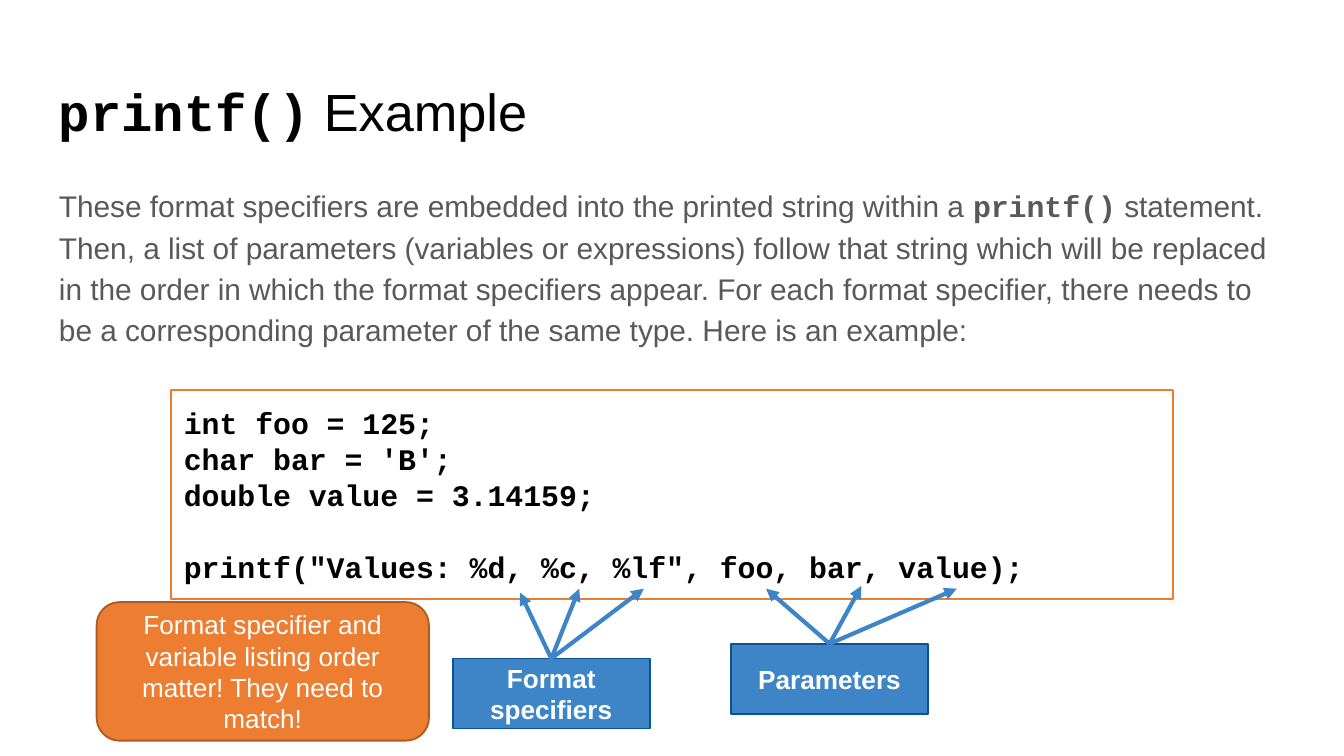
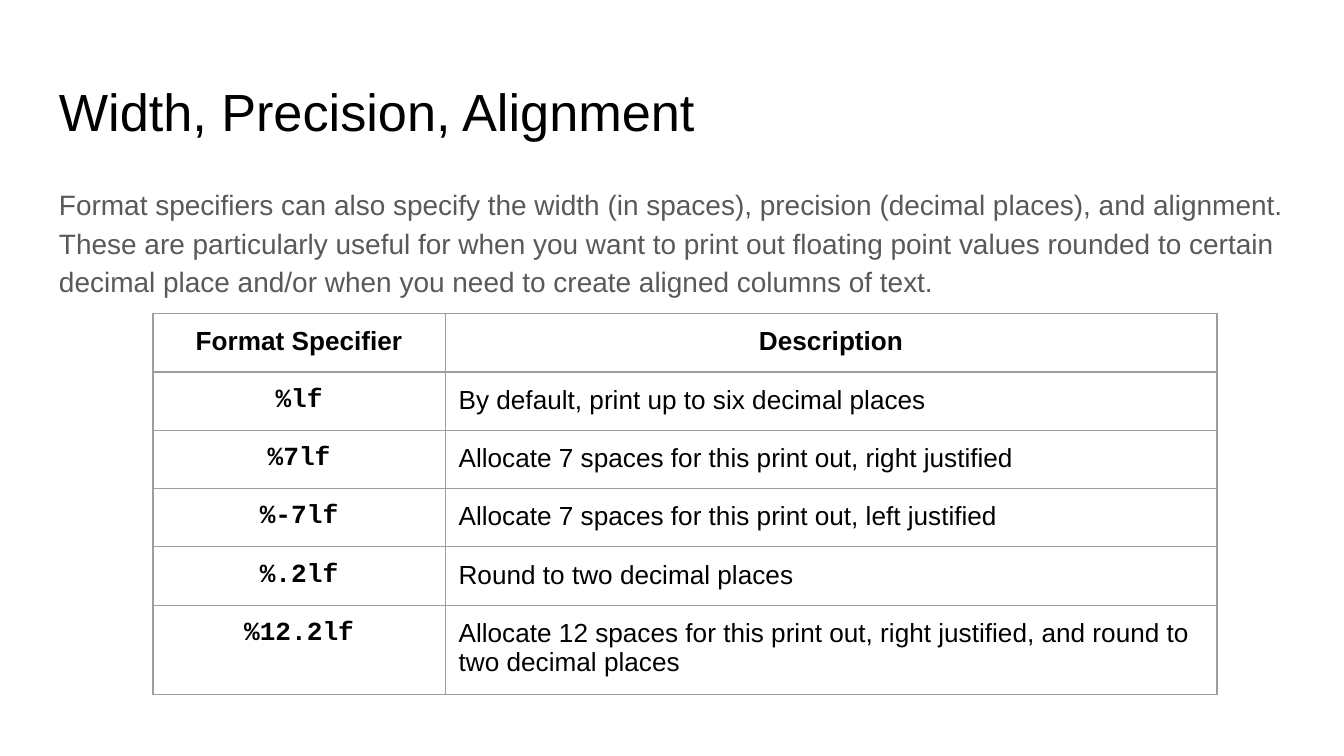
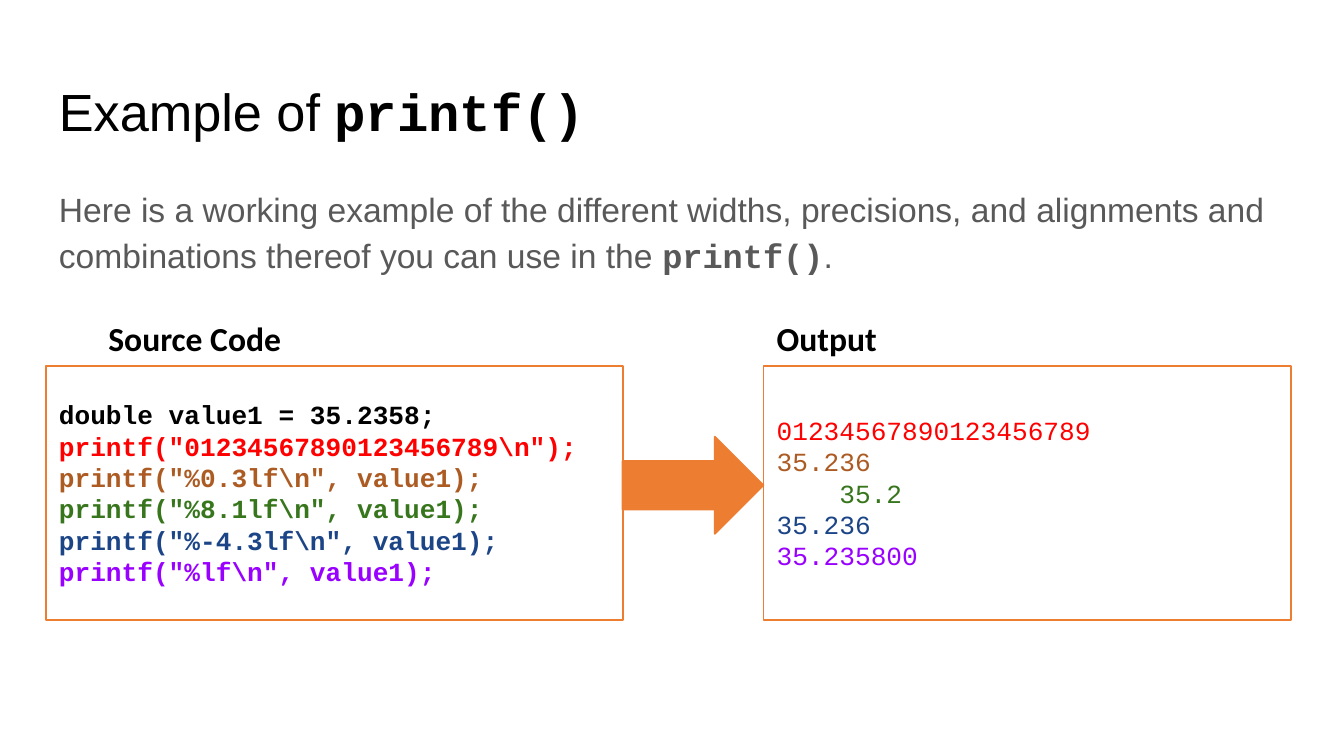
from dataclasses import dataclass
from typing import Any

from lxml.etree import SubElement
from pptx import Presentation
from pptx.dml.color import RGBColor
from pptx.enum.shapes import MSO_CONNECTOR as Link, MSO_SHAPE as Shape
from pptx.enum.text import MSO_ANCHOR as Anchor, PP_ALIGN as Align
from pptx.oxml.ns import qn
from pptx.util import Pt


@dataclass(frozen=True)
class Theme:
    # Fonts
    sans: str = "Arial"
    mono: str = "Courier New"
    label: str = "Calibri"
    # Colours
    ink: str = "000000"
    body: str = "595959"
    white: str = "FFFFFF"
    orange: str = "ED7D31"
    brown: str = "AC5B23"
    blue: str = "3D85C6"
    dark_blue: str = "0B5394"
    grid: str = "9E9E9E"
    red: str = "FF0000"
    green: str = "38761D"
    navy: str = "1C4587"
    violet: str = "9900FF"
    # Type sizes
    title_size: float = 28
    heading_size: float = 18
    code_size: float = 16
    small_size: float = 14
    # Text insets
    wide: float = 7.2
    narrow: float = 3.6


THEME = Theme()
LEFT, WIDTH = 24.5, 671


def rgb(value):
    return RGBColor.from_string(value)


def write(para, text, size=THEME.small_size, font=THEME.sans, color=THEME.ink,
          bold=False, align=Align.LEFT, spacing=None, before=0, after=0, indent=0):
    """Fill a paragraph; text between backticks is set as bold code."""
    para.alignment = align
    para.space_before, para.space_after = Pt(before), Pt(after)
    if spacing:
        para.line_spacing = spacing
    if indent:
        para._p.get_or_add_pPr().set("marL", str(Pt(indent)))
    for index, part in enumerate(text.split("`")):
        if not part:
            continue
        code = index % 2 == 1
        span = para.add_run()
        span.text = part
        span.font.size = Pt(size)
        span.font.name = THEME.mono if code else font
        span.font.bold = bold or code
        span.font.color.rgb = rgb(color)


@dataclass
class Slides:
    deck: Any
    page: Any = None

    def start(self, title, body, body_size, body_height):
        """Open a page with its title and introduction."""
        self.page = self.deck.slides.add_slide(self.deck.slide_layouts[6])
        self.text((LEFT, 35.3, WIDTH, 45.4), [(title, {})], size=THEME.title_size)
        self.text((LEFT, 90.7, WIDTH, body_height), [(body, {})], size=body_size,
                  color=THEME.body, spacing=1.15, after=16)

    def fill_frame(self, frame, lines, anchor, inset, **style):
        frame.word_wrap = True
        frame.vertical_anchor = anchor
        frame.margin_left = frame.margin_right = Pt(THEME.wide)
        frame.margin_top = frame.margin_bottom = Pt(inset)
        for index, (text, extra) in enumerate(lines):
            para = frame.add_paragraph() if index else frame.paragraphs[0]
            write(para, text, **{**style, **extra})

    def text(self, area, lines, inset=THEME.wide, **style):
        box = self.page.shapes.add_textbox(*map(Pt, area))
        self.fill_frame(box.text_frame, lines, Anchor.TOP, inset, **style)

    def shape(self, kind, area, lines=(), fill=None, line=THEME.orange,
              inset=THEME.narrow, **style):
        box = self.page.shapes.add_shape(kind, *map(Pt, area))
        box.shadow.inherit = False
        if fill:
            box.fill.solid()
            box.fill.fore_color.rgb = rgb(fill)
        else:
            box.fill.background()
        box.line.color.rgb = rgb(line)
        box.line.width = Pt(1)
        self.fill_frame(box.text_frame, lines, Anchor.MIDDLE, inset, **style)

    def code(self, area, lines, **style):
        self.shape(Shape.RECTANGLE, area, lines, font=THEME.mono, **style)

    def pointer(self, label, left, top, targets):
        """A blue label with arrows fanning out from its top centre."""
        width, height = 105.5, 37.5
        self.shape(Shape.RECTANGLE, (left, top, width, height), [(label, {})],
                   fill=THEME.blue, line=THEME.dark_blue, inset=THEME.wide,
                   color=THEME.white, bold=True, align=Align.CENTER)
        for target in targets:
            self.arrow((left + width / 2, top), target)

    def arrow(self, start, end):
        link = self.page.shapes.add_connector(Link.STRAIGHT, *map(Pt, (*start, *end)))
        link.line.color.rgb = rgb(THEME.blue)
        link.line.width = Pt(2.25)
        props = link._element.spPr
        SubElement(props.find(qn("a:ln")), qn("a:tailEnd"), type="triangle")
        SubElement(props, qn("a:effectLst"))

    def table(self, left, top, widths, row_height, rows):
        table = self.page.shapes.add_table(
            len(rows), len(widths), Pt(left), Pt(top),
            Pt(sum(widths)), Pt(row_height * len(rows))).table
        table.first_row = table.horz_banding = False
        for column, width in zip(table.columns, widths):
            column.width = Pt(width)
        for r, row in enumerate(rows):
            table.rows[r].height = Pt(row_height)
            for c, text in enumerate(row):
                cell = table.cell(r, c)
                cell.margin_left = cell.margin_right = Pt(THEME.wide)
                cell.margin_top = cell.margin_bottom = Pt(THEME.wide)
                centred = r == 0 or c == 0
                write(cell.text_frame.paragraphs[0], text, bold=r == 0,
                      align=Align.CENTER if centred else Align.LEFT)
                self.border(cell)
                cell.fill.background()

    def border(self, cell):
        props = cell._tc.get_or_add_tcPr()
        for side in ("a:lnL", "a:lnR", "a:lnT", "a:lnB"):
            edge = SubElement(props, qn(side), w=str(Pt(0.75)))
            paint = SubElement(edge, qn("a:solidFill"))
            SubElement(paint, qn("a:srgbClr"), val=THEME.grid)


deck = Presentation()
deck.slide_width, deck.slide_height = Pt(720), Pt(405)
slides = Slides(deck)

# Slide 1: specifiers and parameters
slides.start(
    "`printf()` Example",
    "These format specifiers are embedded into the printed string within a "
    "`printf()` statement. Then, a list of parameters (variables or expressions) "
    "follow that string which will be replaced in the order in which the format "
    "specifiers appear. For each format specifier, there needs to be a "
    "corresponding parameter of the same type. Here is an example:", 16, 269)
slides.code((91.4, 208.8, 537.2, 112.3), [
    ("int foo = 125;", {}),
    ("char bar = 'B';", {}),
    ("double value = 3.14159;", {}),
    ('printf("Values: %d, %c, %lf", foo, bar, value);', {"before": 19.2}),
], fill=THEME.white, size=THEME.code_size, bold=True)
slides.shape(
    Shape.ROUNDED_RECTANGLE, (51.8, 322.6, 178, 74.2),
    [("Format specifier and variable listing order matter! "
      "They need to match!", {})],
    fill=THEME.orange, line=THEME.brown, color=THEME.white, align=Align.CENTER)
slides.pointer("Format specifiers", 242.6, 352.8,
               [(278.6, 317.5), (310.3, 315.4), (344.9, 315.4)])
slides.pointer("Parameters", 391.7, 344.9,
               [(410.4, 315.4), (461.5, 313.9), (512.6, 315.4)])

# Slide 2: table of specifiers
slides.start(
    "Width, Precision, Alignment",
    "Format specifiers can also specify the width (in spaces), precision (decimal "
    "places), and alignment. These are particularly useful for when you want to "
    "print out floating point values rounded to certain decimal place and/or when "
    "you need to create aligned columns of text.", 15, 269)
slides.table(82, 168, (156.5, 413.5), 30.2, [
    ("Format Specifier", "Description"),
    ("`%lf`", "By default, print up to six decimal places"),
    ("`%7lf`", "Allocate 7 spaces for this print out, right justified"),
    ("`%-7lf`", "Allocate 7 spaces for this print out, left justified"),
    ("`%.2lf`", "Round to two decimal places"),
    ("`%12.2lf`", "Allocate 12 spaces for this print out, right justified, "
                  "and round to two decimal places"),
])

# Slide 3: source code and its output, matched by colour
slides.start(
    "Example of `printf()`",
    "Here is a working example of the different widths, precisions, and alignments "
    "and combinations thereof you can use in the `printf()`.", 18, 64)
results = [
    (r'printf("01234567890123456789\n");', "01234567890123456789", THEME.red, 0),
    (r'printf("%0.3lf\n", value1);', "35.236", THEME.brown, 0),
    (r'printf("%8.1lf\n", value1);', "35.2", THEME.green, 33.6),
    (r'printf("%-4.3lf\n", value1);', "35.236", THEME.navy, 0),
    (r'printf("%lf\n", value1);', "35.235800", THEME.violet, 0),
]
top, height = 196, 136
slides.code((LEFT, top, 309.2, height),
            [("double value1 = 35.2358;", {})]
            + [(source, {"color": color}) for source, _, color, _ in results],
            bold=True)
slides.code((409, top, 282.5, height),
            [(output, {"color": color, "indent": indent})
             for _, output, color, indent in results])
for heading, left, width in (("Output", 409, 68.4), ("Source Code", 51, 108)):
    slides.text((left, 167, width, 29), [(heading, {})], inset=THEME.narrow,
                size=THEME.heading_size, font=THEME.label, bold=True)
slides.shape(Shape.RIGHT_ARROW, (333.5, 234, 75.5, 52), fill=THEME.orange)

deck.save("out.pptx")
